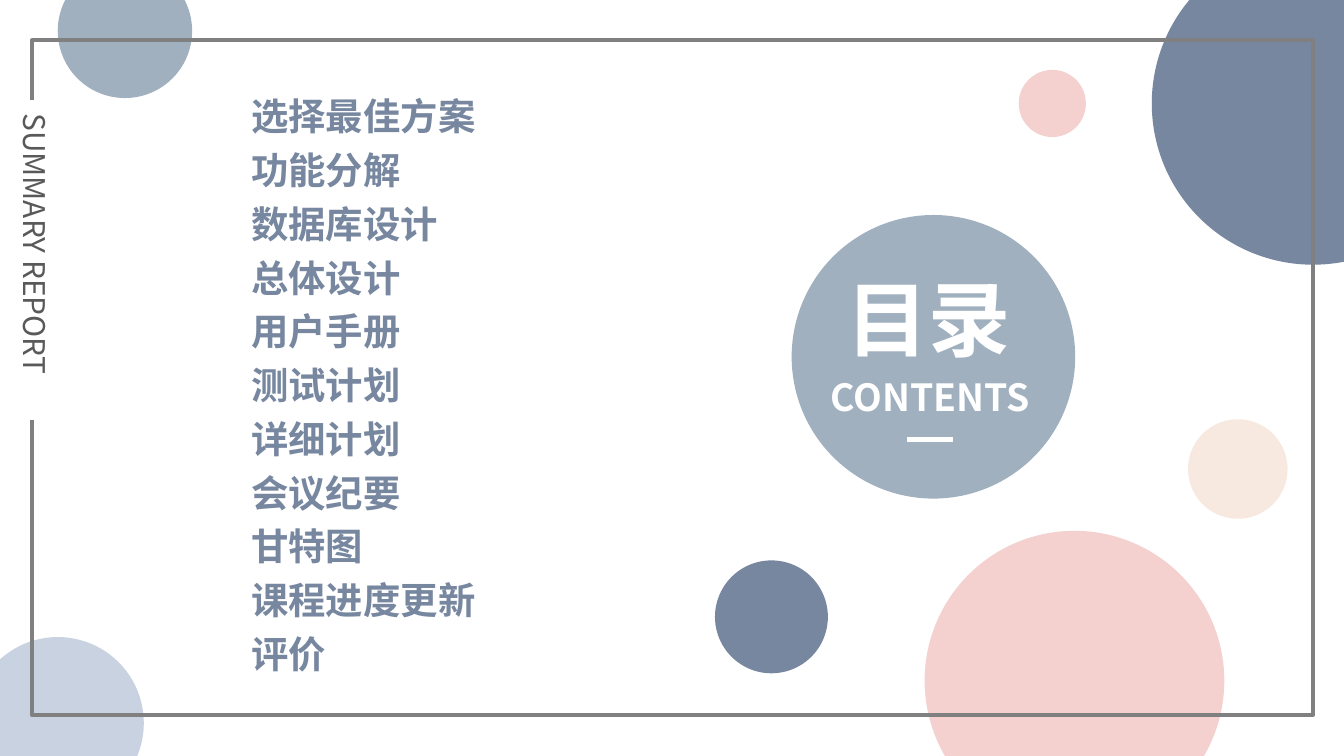
"""Build the contents slide: dotted backdrop, framed border, topic list and title disc."""
from lxml import etree
from pptx import Presentation
from pptx.dml.color import RGBColor
from pptx.enum.shapes import MSO_CONNECTOR, MSO_SHAPE
from pptx.enum.text import MSO_ANCHOR, PP_ALIGN
from pptx.oxml.ns import qn
from pptx.util import Inches, Pt

OVAL, RECT, LINE = MSO_SHAPE.OVAL, MSO_SHAPE.RECTANGLE, MSO_CONNECTOR.STRAIGHT
LEFT, MID, CORE = PP_ALIGN.LEFT, PP_ALIGN.CENTER, MSO_ANCHOR.MIDDLE

THEME = {
    "font": "Noto Sans CJK SC",
    "steel": RGBColor.from_string("A0B0BF"),
    "navy": RGBColor.from_string("7787A0"),
    "pink": RGBColor.from_string("F4D1CF"),
    "cream": RGBColor.from_string("F7E9E0"),
    "sky": RGBColor.from_string("C9D2E1"),
    "gray": RGBColor.from_string("808080"),
    "ink": RGBColor.from_string("595959"),
    "white": RGBColor.from_string("FFFFFF"),
    "label": Pt(16), "body": Pt(20), "title": Pt(44),
    "lead": Pt(28.8), "rule": Pt(2.25),
}

deck = Presentation()
deck.slide_width = Inches(10)
deck.slide_height = deck.slide_width * 9 // 16
slide = deck.slides.add_slide(deck.slide_layouts[6])
shapes = slide.shapes
CELL = deck.slide_width // 1000


def add_block(kind, box, fill=None):
    """Add a flat shape on the grid."""
    block = shapes.add_shape(kind, *(n * CELL for n in box))
    block.shadow.inherit = False
    if fill:
        block.fill.solid()
        block.fill.fore_color.rgb = THEME[fill]
    else:
        block.fill.background()
    block.line.fill.background()
    return block


def set_text(block, lines, size, color, bold=False, align=LEFT, wrap=False, lead=None):
    """Write styled lines into a shape."""
    frame = block.text_frame
    for name, value in {"word_wrap": wrap, "vertical_anchor": CORE}.items():
        setattr(frame, name, value)
    frame.text = "\n".join(lines)
    style = {"name": THEME["font"], "size": THEME[size], "bold": bold}
    for para in frame.paragraphs:
        para.alignment = align
        para.line_spacing = lead
        for run in para.runs:
            for name, value in style.items():
                setattr(run.font, name, value)
            run.font.color.rgb = THEME[color]
            east = etree.SubElement(run._r.get_or_add_rPr(), qn("a:ea"))
            east.set("typeface", THEME["font"])


dots = [
    (589, 160, 211, "steel"), (857, -43, 240, "navy"), (688, 395, 223, "pink"),
    (884, 312, 74, "cream"), (43, -27, 100, "steel"), (-21, 474, 128, "sky"),
    (532, 417, 84, "navy"), (758, 52, 50, "pink"),
]
for left, top, size, fill in dots:
    add_block(OVAL, (left, top, size, size), fill)

border = add_block(RECT, (24, 30, 953, 502))
border.line.color.rgb = THEME["gray"]
border.line.width = THEME["rule"]

label = add_block(RECT, (-93, 175, 238, 37), "white")
label.rotation = 90
set_text(label, ["SUMMARY REPORT"], "label", "ink", wrap=True)

topics = [
    "选择最佳方案", "功能分解", "数据库设计", "总体设计", "用户手册", "测试计划",
    "详细计划", "会议纪要", "甘特图", "课程进度更新", "评价",
]
texts = [
    ((177, 56, 187, 454), topics, "body", "navy", LEFT, THEME["lead"]),
    ((620, 194, 144, 84), ["目录"], "title", "white", LEFT, None),
    ((603, 273, 178, 44), ["CONTENTS"], "body", "white", MID, None),
]
for box, lines, size, color, align, lead in texts:
    block = shapes.add_textbox(*(n * CELL for n in box))
    set_text(block, lines, size, color, bold=True, align=align, lead=lead)

dash = shapes.add_connector(LINE, *(n * CELL for n in (675, 327, 709, 327)))
dash.line.color.rgb = THEME["white"]
dash.line.width = THEME["rule"]
etree.SubElement(dash._element.spPr, qn("a:effectLst"))

deck.save("out.pptx")
